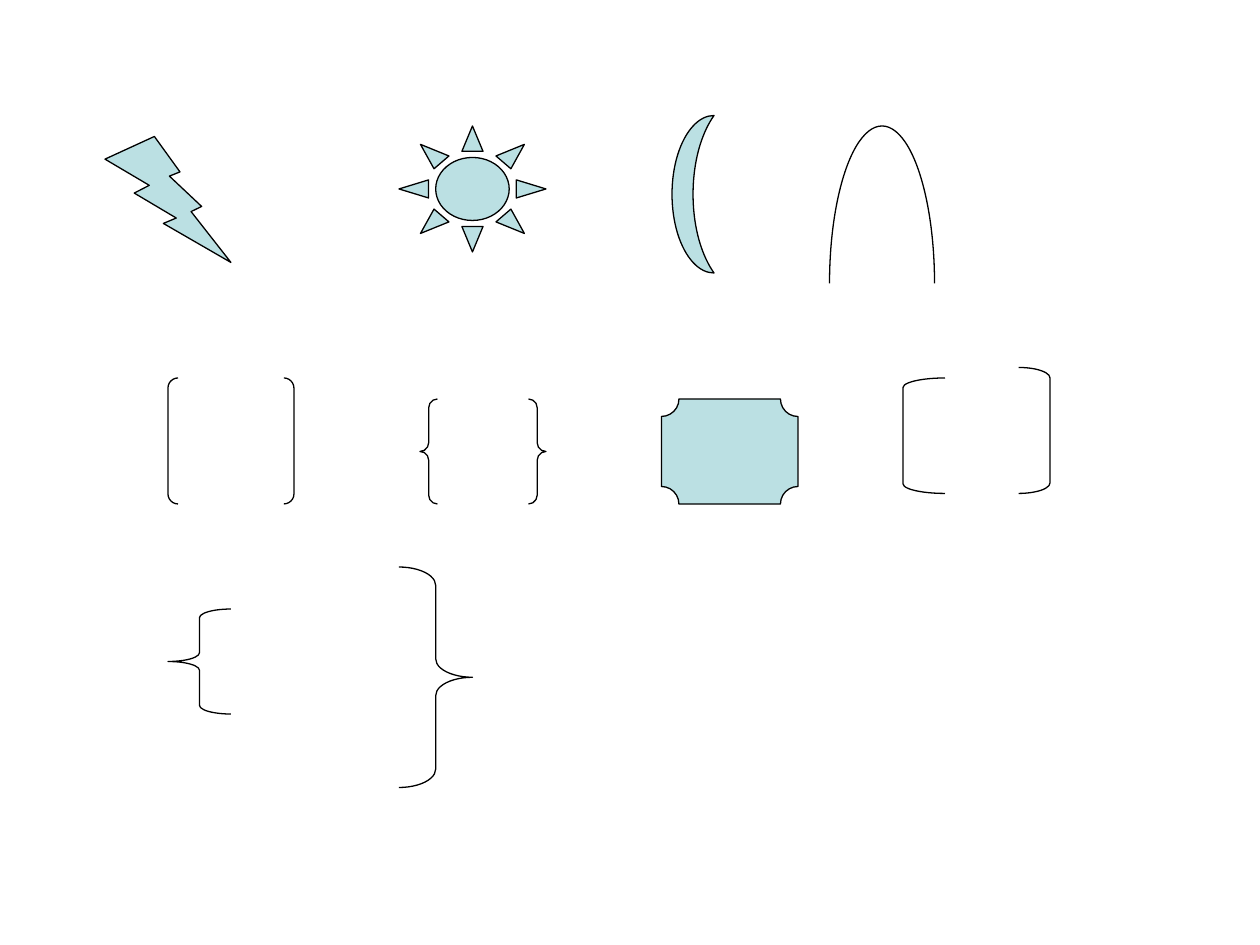
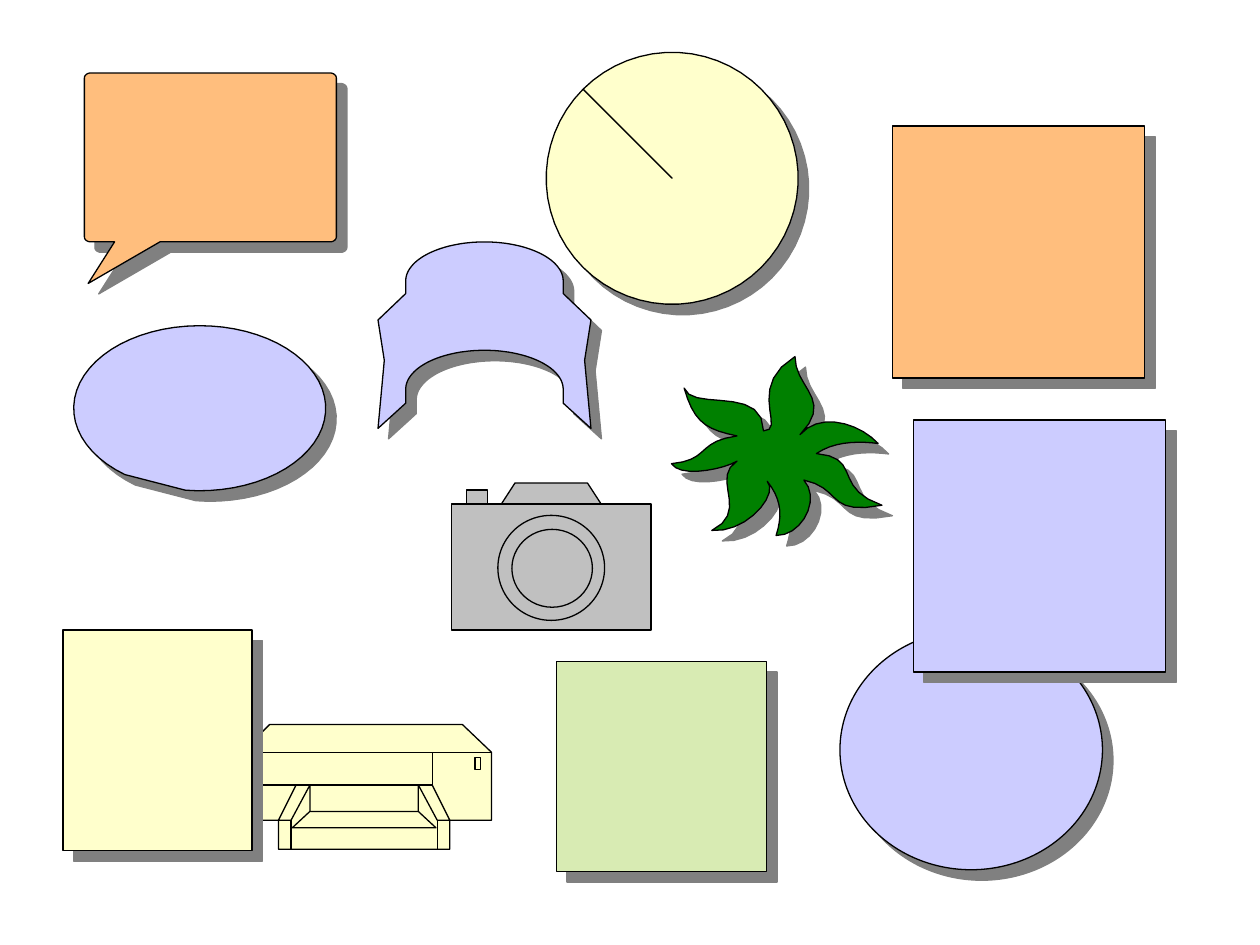
from math import cos, radians, sin

from lxml.etree import SubElement
from pptx import Presentation
from pptx.dml.color import RGBColor
from pptx.enum.shapes import MSO_SHAPE as Kind
from pptx.oxml.ns import qn
from pptx.util import Pt

BLACK = RGBColor(0x00, 0x00, 0x00)
TEAL = RGBColor(0xBB, 0xE0, 0xE3)
SILVER = RGBColor(0xC0, 0xC0, 0xC0)
GREEN = RGBColor(0x00, 0x80, 0x00)
CREAM = RGBColor(0xFF, 0xFF, 0xCC)
VIOLET = RGBColor(0xCC, 0xCC, 0xFF)
LIME = RGBColor(0xD8, 0xEB, 0xB3)
ORANGE = RGBColor(0xFF, 0xBE, 0x7D)
SHADE = RGBColor(0x80, 0x80, 0x80)

STEP = Pt(0.72)  # grid unit of the outlines

# Basic shapes: kind, (left, top, width, height) in points, fill
BASIC = [
    (Kind.LIGHTNING_BOLT, (60, 78, 72, 72), TEAL),
    (Kind.SUN, (228, 72, 84, 72), TEAL),
    (Kind.MOON, (384, 66, 24, 90), TEAL),
    (Kind.ARC, (474, 72, 60, 180), None),
    (Kind.DOUBLE_BRACKET, (96, 216, 72, 72), None),
    (Kind.DOUBLE_BRACE, (240, 228, 72, 60), None),
    (Kind.PLAQUE, (378, 228, 78, 60), TEAL),
]
BENDS = {Kind.ARC: [108, 0], Kind.DOUBLE_BRACKET: [0.08]}
BRACES = [
    (Kind.LEFT_BRACKET, (516, 216, 24, 66)),
    (Kind.RIGHT_BRACKET, (582, 210, 18, 72)),
    (Kind.LEFT_BRACE, (96, 348, 36, 60)),
    (Kind.RIGHT_BRACE, (228, 324, 42, 126)),
]

# Plain figures with a shadow
PLAIN = [
    (Kind.OVAL, (480, 360, 150, 137), VIOLET),
    (Kind.RECTANGLE, (318, 378, 120, 120), LIME),
    (Kind.RECTANGLE, (36, 360, 108, 126), CREAM),
    (Kind.RECTANGLE, (522, 240, 144, 144), VIOLET),
    (Kind.RECTANGLE, (510, 72, 144, 144), ORANGE),
]

CAMERA = [
    (Kind.RECTANGLE, (266.5, 280, 12, 8), []),
    (Kind.TRAPEZOID, (286.5, 276, 57, 12), [0.65]),
    (Kind.RECTANGLE, (258, 288, 114, 72), []),
    (Kind.OVAL, (284.5, 294.5, 61, 60), []),
    (Kind.OVAL, (292.5, 302.5, 46, 44.5), []),
]

PRINTER = [(214, 575), (367, 575), (390, 597), (390, 651), (357, 651), (357, 674),
           (221, 674), (221, 651), (192, 651), (192, 597)]
FRONT = [
    [(192, 597), (390, 597)],
    [(343, 597), (343, 623), (192, 623)],
    [(246, 644), (332, 644), (346, 657), (232, 657), (246, 644)],
]
SIDE = [
    [(231, 651), (231, 674)],
    [(246, 644), (246, 623), (231, 651), (221, 651), (235, 623)],
]
LAMP = (271.5, 432.7, 3, 7.2)

# Every third point is a tip or a base; two points on the edge lie between
LEAF = [
    (606, 342), (591, 321), (562, 317), (543, 308), (552, 329), (565, 340),
    (585, 346), (564, 353), (553, 362), (533, 368), (547, 374), (568, 372),
    (585, 366), (577, 383), (579, 403), (565, 421), (591, 414), (608, 397),
    (609, 382), (617, 396), (619, 410), (616, 425), (634, 417), (643, 399),
    (638, 381), (658, 391), (671, 401), (700, 401), (677, 385), (669, 369),
    (648, 360), (664, 353), (681, 351), (697, 352), (678, 339), (655, 335),
    (635, 345), (646, 322), (638, 304), (631, 283), (611, 309), (612, 332),
]
DRAPE = [(322, 233), (300, 254), (305, 286), (300, 340), (322, 320)]


def arc(x, y, wide, high, start, end, count=60):
    """Points on an ellipse around (x, y); degrees run clockwise from the right."""
    turns = [radians(start + (end - start) * i / count) for i in range(count + 1)]
    return [(x + wide * cos(t), y + high * sin(t)) for t in turns]


def mirror(points, axis):
    return [(2 * axis - x, y) for x, y in points]


def curve(points, count=9):
    """Closed run of cubics, each through four points with shared ends."""
    found = []
    for i in range(0, len(points), 3):
        knots = [points[(i + j) % len(points)] for j in range(4)]
        for k in range(count):
            t = 3 * k / count
            parts = [-(t - 1) * (t - 2) * (t - 3) / 6, t * (t - 2) * (t - 3) / 2,
                     -t * (t - 1) * (t - 3) / 2, t * (t - 1) * (t - 2) / 6]
            found.append(tuple(sum(p * v for p, v in zip(parts, axis))
                               for axis in zip(*knots)))
    return found


def bubble(left, top, right, base, tail):
    """Round-cornered box, counterclockwise, with a tail on its base."""
    wide, high = 5, 4
    west, east, north, south = left + wide, right - wide, top + high, base - high
    corners = [(west, north), (west, south), (east, south), (east, north)]
    points = []
    for i, (x, y) in enumerate(corners):
        start = 270 - 90 * i
        points += arc(x, y, wide, high, start, start - 90, 8)
        if i == 1:
            points += tail
    return points


def dress(shape, fill=None, cast=False):
    """Set fill, black line and, if cast, a hard grey shadow."""
    if fill is None:
        shape.fill.background()
    else:
        shape.fill.solid()
        shape.fill.fore_color.rgb = fill
    shape.line.color.rgb = BLACK
    shape.line.width = Pt(0.75)
    shape.shadow.inherit = False
    if cast:
        effects = shape.element.spPr.find(qn("a:effectLst"))
        shadow = SubElement(effects, qn("a:outerShdw"), blurRad="0", dist=str(Pt(8.5)),
                            dir=str(45 * 60000), rotWithShape="0")
        SubElement(shadow, qn("a:srgbClr"), val=str(SHADE))


def preset(slide, kind, box, fill=None, bends=(), cast=False):
    shape = slide.shapes.add_shape(kind, *map(Pt, box))
    for i, bend in enumerate(bends):
        shape.adjustments[i] = bend
    dress(shape, fill, cast)


def outline(slide, points, fill=None, cast=False):
    """Draw a polygon; without a fill it stays open."""
    first, *rest = [(x * STEP, y * STEP) for x, y in points]
    pen = slide.shapes.build_freeform(*first)
    pen.add_line_segments(rest, close=fill is not None)
    dress(pen.convert_to_shape(), fill, cast)


def draw_camera(slide):
    for kind, box, bends in CAMERA:
        preset(slide, kind, box, SILVER, bends)


def draw_printer(slide):
    outline(slide, PRINTER, CREAM)
    for points in FRONT + SIDE + [mirror(part, 289) for part in SIDE]:
        outline(slide, points)
    preset(slide, Kind.RECTANGLE, LAMP)


def draw_canopy(slide):
    mid = 384.5
    points = (arc(mid, 223, 62.5, 31, 0, -180) + DRAPE
              + arc(mid, 309, 62.5, 31, 180, 360) + mirror(DRAPE, mid)[::-1])
    outline(slide, points, VIOLET, cast=True)


def main():
    deck = Presentation()
    deck.slide_width, deck.slide_height = Pt(720), Pt(540)
    blank = deck.slide_layouts[6]

    basic = deck.slides.add_slide(blank)
    for kind, box, fill in BASIC:
        preset(basic, kind, box, fill, BENDS.get(kind, []))
    for kind, box in BRACES:
        wide, high = box[2:]
        preset(basic, kind, box, bends=[high / 12 / min(wide, high)])

    mixed = deck.slides.add_slide(blank)
    draw_camera(mixed)
    outline(mixed, curve(LEAF), GREEN, cast=True)
    draw_printer(mixed)
    draw_canopy(mixed)
    for kind, box, fill in PLAIN:
        preset(mixed, kind, box, fill, cast=True)
    outline(mixed, arc(158.5, 324, 100, 65.5, 96.5, -233.5), VIOLET, cast=True)
    hub = (533.5, 141.5)
    outline(mixed, arc(*hub, 100, 100, 225, -135) + [hub], CREAM, cast=True)
    tail = [(91, 192), (70, 225), (127, 192)]
    outline(mixed, bubble(67, 58, 267, 192, tail), ORANGE, cast=True)

    deck.save("out.pptx")


if __name__ == "__main__":
    main()
